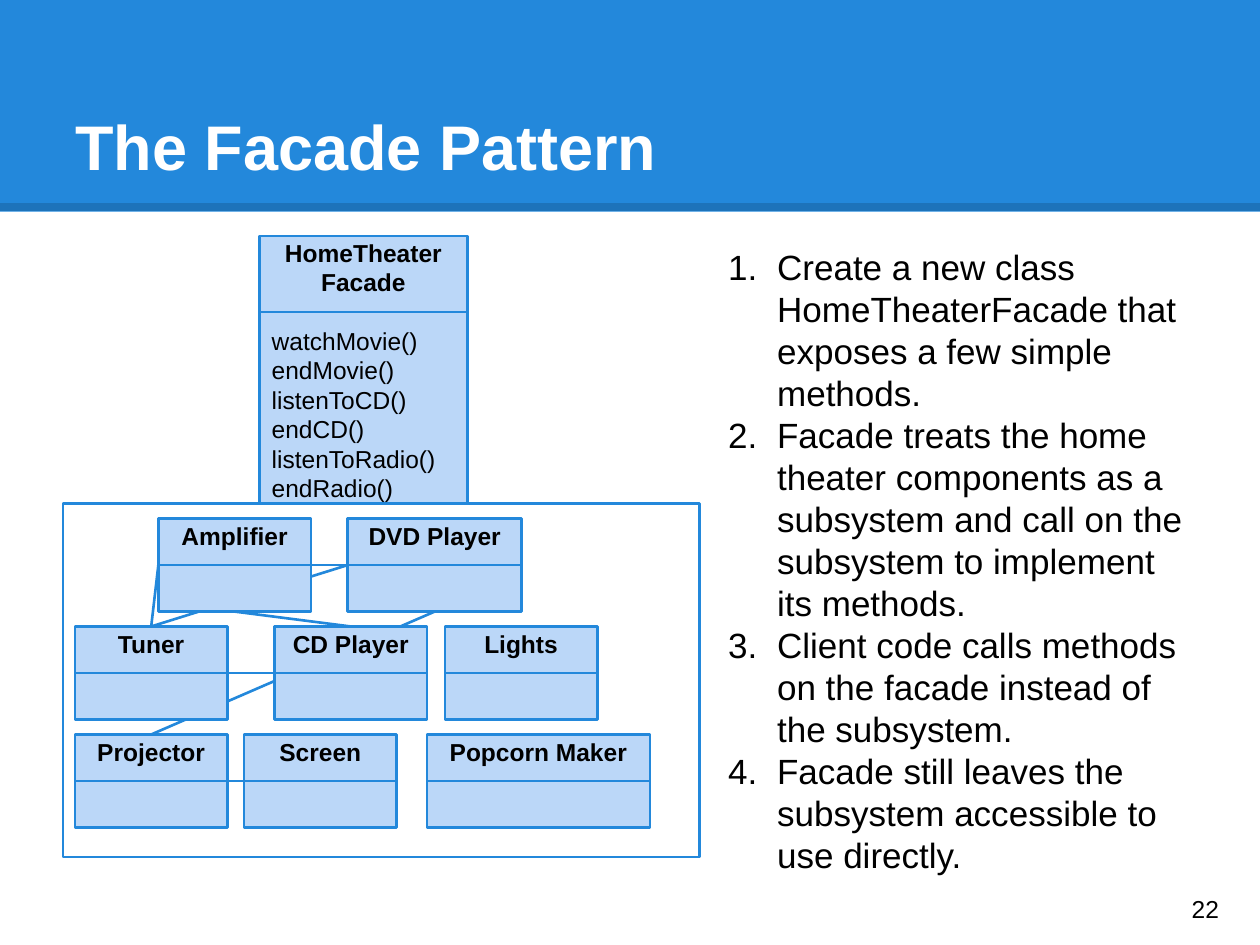
from dataclasses import dataclass
from lxml import etree
from pptx import Presentation
from pptx.dml import color
from pptx.enum import shapes, text
from pptx.oxml import ns
from pptx.util import Pt

BLUE, PALE, BLACK, WHITE = "2388DB", "BBD7F8", "000000", "FFFFFF"
LEAD = 1.2  # line height relative to text size
TOP, STEP, HIGH = 296.3, 61.7, 53.2  # rows of class boxes


@dataclass
class Card:
    name: str
    row: int
    left: float
    width: float = 87.2

    @property
    def top(self) -> float:
        return TOP + self.row * STEP

    def port(self, side: str) -> tuple[float, float]:
        """Point in the middle of one side."""
        mid, half = self.left + self.width / 2, self.top + HIGH / 2
        return {"left": (self.left, half), "right": (self.left + self.width, half),
                "top": (mid, self.top), "bottom": (mid, self.top + HIGH)}[side]


@dataclass
class Link:
    start: str
    out: str
    end: str
    into: str


CARDS = {c.name: c for c in (
    Card("Amplifier", 0, 90.5), Card("DVD Player", 0, 198.7, 99.4),
    Card("Tuner", 1, 42.8), Card("CD Player", 1, 156.9),
    Card("Projector", 2, 42.8), Card("Screen", 2, 139.5),
    Card("Popcorn Maker", 2, 244, 127.4), Card("Lights", 1, 254.2),
)}
BACK = [Link("DVD Player", "left", "Tuner", "top"),
        Link("DVD Player", "bottom", "Projector", "top")]
FRONT = [Link("Amplifier", "right", "DVD Player", "left"),
         Link("CD Player", "top", "Amplifier", "bottom"),
         Link("Screen", "left", "Projector", "right"),
         Link("Amplifier", "left", "Tuner", "top"),
         Link("CD Player", "left", "Tuner", "right")]
CALLS = ["watchMovie()", "endMovie()", "listenToCD()", "endCD()",
         "listenToRadio()", "endRadio()"]
STEPS = [
    "Create a new class HomeTheaterFacade that exposes a few simple methods.",
    "Facade treats the home theater components as a subsystem and call on "
    "the subsystem to implement its methods.",
    "Client code calls methods on the facade instead of the subsystem.",
    "Facade still leaves the subsystem accessible to use directly.",
]

deck = Presentation()
deck.slide_width, deck.slide_height = Pt(720), Pt(540)
slide = deck.slides.add_slide(deck.slide_layouts[6])


def paint(form, tint: str) -> None:
    form.rgb = color.RGBColor.from_string(tint)


def box(x: float, y: float, w: float, h: float, fill: str = "", edge: str = ""):
    form = slide.shapes.add_shape(shapes.MSO_SHAPE.RECTANGLE, Pt(x), Pt(y), Pt(w), Pt(h))
    form.shadow.inherit = False
    if fill:
        form.fill.solid()
        paint(form.fill.fore_color, fill)
    else:
        form.fill.background()
    if edge:
        paint(form.line.color, edge)
        form.line.width = Pt(1.5)
    else:
        form.line.fill.background()
    return form


def line(start: tuple, end: tuple, tint: str = BLUE, width: float = 1.5):
    form = slide.shapes.add_connector(
        shapes.MSO_CONNECTOR.STRAIGHT, Pt(start[0]), Pt(start[1]), Pt(end[0]), Pt(end[1]))
    paint(form.line.color, tint)
    form.line.width = Pt(width)
    etree.SubElement(form._element.spPr, ns.qn("a:effectLst"))
    return form


def join(link: Link) -> None:
    line(CARDS[link.start].port(link.out), CARDS[link.end].port(link.into))


def frame(form, anchor, top: float = 7.2, low: float = 7.2):
    area = form.text_frame
    area.word_wrap = True
    area.vertical_anchor = anchor
    area.margin_left = area.margin_right = Pt(7.2)
    area.margin_top, area.margin_bottom = Pt(top), Pt(low)
    return area


def field(x: float, y: float, w: float, h: float, anchor):
    return frame(slide.shapes.add_textbox(Pt(x), Pt(y), Pt(w), Pt(h)), anchor)


def write(area, words: str, size: float, tint: str = BLACK, bold: bool = False,
          align=text.PP_ALIGN.LEFT):
    para = area.paragraphs[0]
    if para.runs:
        para = area.add_paragraph()
    para.alignment = align
    para.line_spacing = Pt(size * LEAD)
    run = para.add_run()
    run.text = words
    run.font.name, run.font.size, run.font.bold = "Arial", Pt(size), bold
    paint(run.font.color, tint)
    return para


def number(para) -> None:
    props = para._p.get_or_add_pPr()
    props.set("marL", str(Pt(36)))
    props.set("indent", str(-Pt(28)))
    etree.SubElement(props, ns.qn("a:buAutoNum"), type="arabicPeriod")


def draw(card: Card) -> None:
    form = box(card.left, card.top, card.width, HIGH, PALE, BLUE)
    area = frame(form, text.MSO_ANCHOR.TOP, 1.5, 0)
    write(area, card.name, 14, bold=True, align=text.PP_ALIGN.CENTER)
    line(card.port("left"), card.port("right"))


# Header band and title
box(0, 0, 720, 121, BLUE)
rule = line((0, 118.3), (720, 118.3), BLACK, 4.5)
shade = next(rule._element.iter(ns.qn("a:srgbClr")))
etree.SubElement(shade, ns.qn("a:alpha"), val="15000")
write(field(36, 21.6, 648, 90, text.MSO_ANCHOR.BOTTOM), "The Facade Pattern", 36, WHITE, True)

# Subsystem outline, with the long links behind
for link in BACK:
    join(link)
box(36, 287.8, 363.8, 202, edge=BLUE)

# Facade class
facade = frame(box(148.2, 134.8, 119, 153, PALE, BLUE), text.MSO_ANCHOR.TOP, 1.1, 0)
for word in ("HomeTheater", "Facade"):
    write(facade, word, 14, bold=True, align=text.PP_ALIGN.CENTER)
for call in CALLS:
    para = write(facade, call, 14)
    if call == CALLS[0]:
        para.space_before = Pt(14 * LEAD)
line((148.2, 178.3), (267.2, 178.3))

# Component classes and their links
for card in CARDS.values():
    draw(card)
for link in FRONT:
    join(link)

# Numbered steps
notes = field(401, 133.2, 283, 376, text.MSO_ANCHOR.TOP)
for step in STEPS:
    number(write(notes, step, 20))

# Page number
write(field(673.9, 499, 43.2, 41, text.MSO_ANCHOR.MIDDLE), "22", 14)

deck.save("out.pptx")
